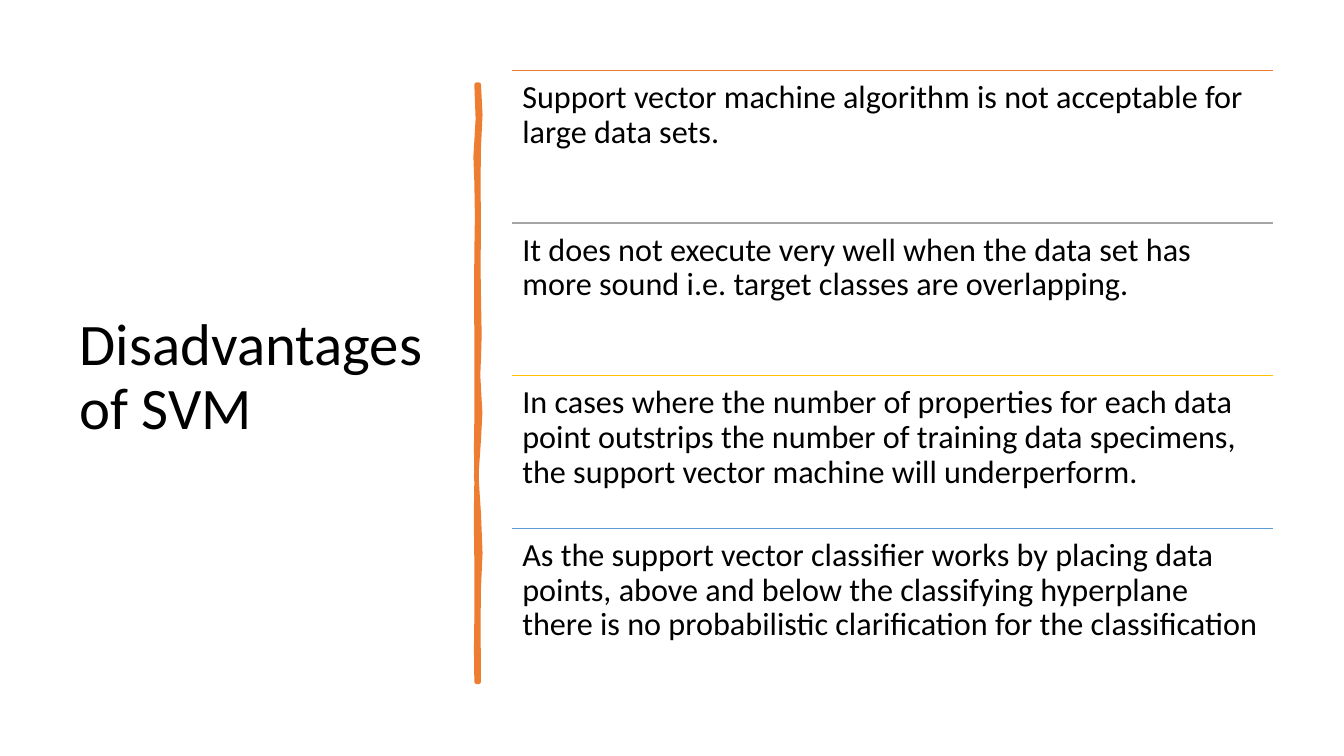
"""Build the slide on the disadvantages of SVM."""
from lxml.etree import SubElement
from pptx import Presentation
from pptx.dml.color import RGBColor as RGB
from pptx.enum.shapes import MSO_CONNECTOR as LINE
from pptx.enum.text import MSO_ANCHOR as ANCHOR, MSO_AUTO_SIZE as FIT, PP_ALIGN as ALIGN
from pptx.oxml.ns import qn
from pptx.util import Pt

BLACK = RGB(0x00, 0x00, 0x00)
ORANGE = RGB(0xED, 0x7D, 0x31)
GREY = RGB(0xA5, 0xA5, 0xA5)
GOLD = RGB(0xFF, 0xC0, 0x00)
BLUE = RGB(0x5B, 0x9B, 0xD5)

LEFT, TOP, WIDTH, STEP = 366, 50.4, 543.6, 109

ROWS = [
    (ORANGE, "Support vector machine algorithm is not acceptable for large data sets."),
    (GREY, "It does not execute very well when the data set has more sound i.e. "
           "target classes are overlapping."),
    (GOLD, "In cases where the number of properties for each data point outstrips the "
           "number of training data specimens, the support vector machine will underperform."),
    (BLUE, "As the support vector classifier works by placing data points, above and below "
           "the classifying hyperplane there is no probabilistic clarification for the "
           "classification"),
]

EDGE = [
    (342, 60.5), (343.1, 82), (342, 105), (341.7, 130), (342, 163), (341.7, 190),
    (342, 212), (342.5, 240), (342, 256), (341.5, 268), (343, 295), (342, 314),
    (340.2, 340), (342, 367), (343.1, 395), (342, 420), (341.7, 445), (342, 487),
    (340.5, 487), (340.2, 464), (340.5, 441), (340.5, 401), (340.1, 370), (340.5, 343),
    (340.2, 320), (340.5, 299), (340.5, 241), (340.3, 210), (340.5, 180), (340.9, 155),
    (340.5, 130), (339.8, 112), (341.4, 85), (340.5, 60.5),
]


def write(frame, text, size):
    frame.word_wrap = True
    frame.auto_size = FIT.NONE
    para = frame.paragraphs[0]
    para.alignment = ALIGN.LEFT
    para.line_spacing = 0.9
    run = para.add_run()
    run.text = text
    run.font.name = "Calibri"
    run.font.size = Pt(size)
    run.font.color.rgb = BLACK


deck = Presentation()
deck.slide_width, deck.slide_height = Pt(960), Pt(540)
slide = deck.slides.add_slide(deck.slide_layouts[5])
shapes = slide.shapes

title = shapes.title
title.left, title.top = Pt(49.7), Pt(50.4)
title.width, title.height = Pt(269.3), Pt(439.9)
title.text_frame.vertical_anchor = ANCHOR.MIDDLE
write(title.text_frame, "Disadvantages of SVM", 42)

knots = [(Pt(x), Pt(y)) for x, y in EDGE]
pen = shapes.build_freeform(*knots[0])
pen.add_line_segments(knots[1:], close=True)
bar = pen.convert_to_shape()
bar.shadow.inherit = False
bar.fill.solid()
bar.fill.fore_color.rgb = ORANGE
bar.line.color.rgb = ORANGE
bar.line.width = Pt(3.25)

for i, (color, text) in enumerate(ROWS):
    top = Pt(TOP + i * STEP)
    rule = shapes.add_connector(LINE.STRAIGHT, Pt(LEFT), top, Pt(LEFT + WIDTH), top)
    rule.line.color.rgb = color
    rule.line.width = Pt(1)
    SubElement(rule._element.spPr, qn("a:effectLst"))
    box = shapes.add_textbox(Pt(LEFT), top, Pt(WIDTH), Pt(STEP))
    frame = box.text_frame
    frame.margin_left = frame.margin_right = Pt(7.2)
    frame.margin_top = frame.margin_bottom = Pt(7.2)
    frame.vertical_anchor = ANCHOR.TOP
    write(frame, text, 23)

deck.save("out.pptx")
